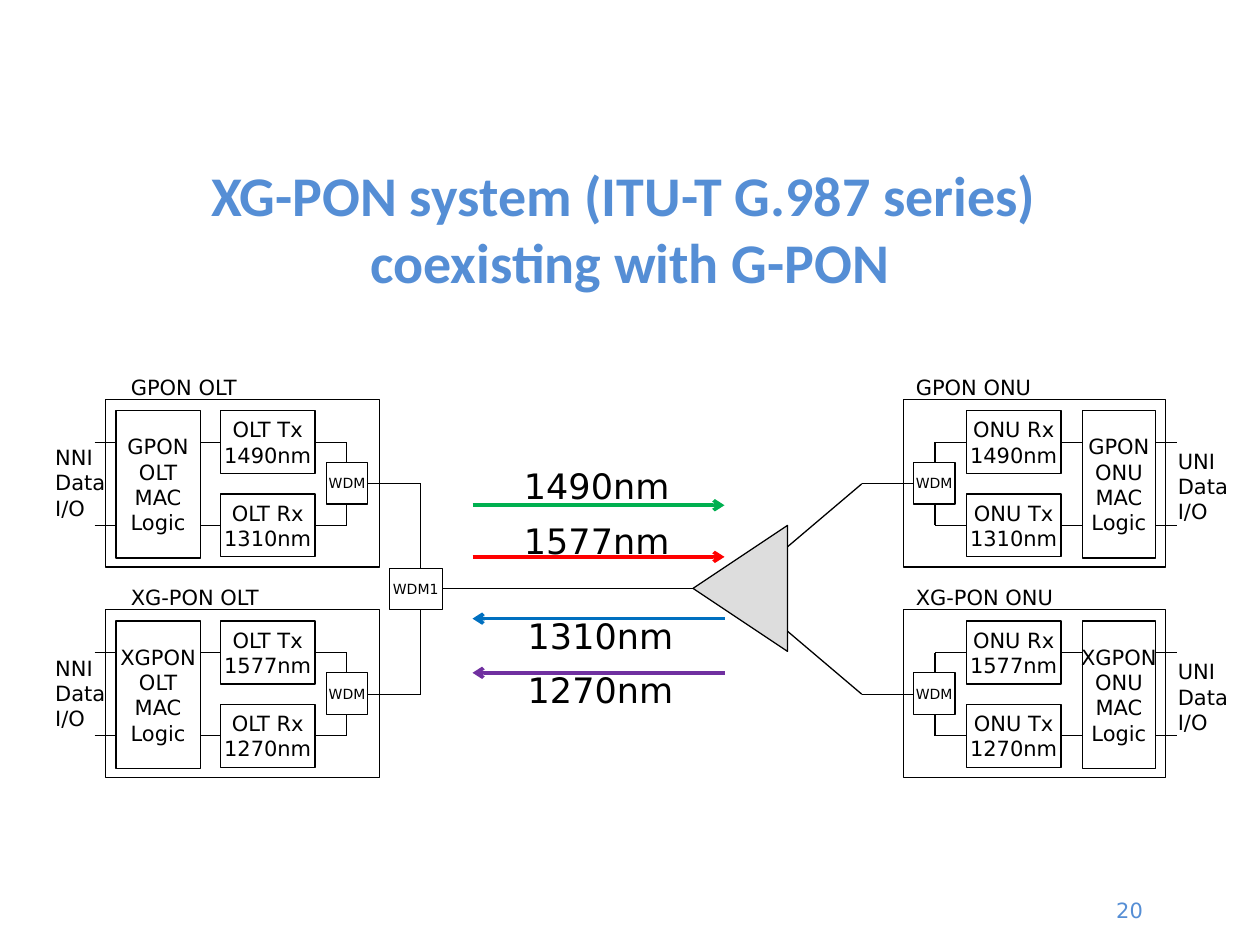
"""Build the slide on XG-PON coexisting with G-PON."""
from lxml.etree import SubElement
from pptx import Presentation
from pptx.dml.color import RGBColor
from pptx.enum.shapes import MSO_CONNECTOR as Link, MSO_SHAPE as Kind
from pptx.enum.text import MSO_ANCHOR as Anchor, PP_ALIGN as Align
from pptx.oxml.ns import qn
from pptx.util import Inches, Pt

BLACK = RGBColor(0x00, 0x00, 0x00)
WHITE = RGBColor(0xFF, 0xFF, 0xFF)
GRAY = RGBColor(0xDD, 0xDD, 0xDD)
TITLE = RGBColor(0x55, 0x8E, 0xD5)
GREEN = RGBColor(0x00, 0xB0, 0x50)
RED = RGBColor(0xFF, 0x00, 0x00)
BLUE = RGBColor(0x00, 0x70, 0xC0)
PURPLE = RGBColor(0x70, 0x30, 0xA0)
SANS = "DejaVu Sans"

HEAD = "XG-PON system (ITU-T G.987 series) \ncoexisting with G-PON"
NETS = [
    ("GPON", "GPON", "1490nm", "1310nm", 3.17),
    ("XG-PON", "XGPON", "1577nm", "1270nm", 4.84),
]
SIDES = [
    dict(unit="OLT", port="NNI", ways=("Tx", "Rx"), frame=(0.84, 2.17), label=0.94,
         wire=(0.75, 2.75), bend=2.75, mac=(0.92, 0.67), wdm=2.59, radio=1.75,
         out=(2.92, 3.34), data=(0.34, 0.31), wide=(1.06, 1.26)),
    dict(unit="ONU", port="UNI", ways=("Rx", "Tx"), frame=(7.17, 2.08), label=7.17,
         wire=(7.42, 9.34), bend=7.42, mac=(8.59, 0.58), wdm=7.25, radio=7.67,
         out=(6.84, 7.25), data=(9.25, 0.34), wide=(1.14, 1.33)),
]
WAVES = [
    ("1490nm", GREEN, 3.75, 5.75, 4.01, 4.06, 3.64),
    ("1577nm", RED, 3.75, 5.75, 4.42, 4.06, 4.07),
    ("1310nm", BLUE, 5.75, 3.75, 4.91, 4.09, 4.83),
    ("1270nm", PURPLE, 5.75, 3.75, 5.34, 4.09, 5.26),
]

deck = Presentation()
deck.slide_width, deck.slide_height = Inches(10), Inches(7.5)
shapes = deck.slides.add_slide(deck.slide_layouts[6]).shapes


def write(shape, lines, size, color=BLACK, font=SANS, bold=False,
          align=Align.CENTER, anchor=Anchor.MIDDLE, wrap=False):
    frame = shape.text_frame
    frame.word_wrap = wrap
    frame.vertical_anchor = anchor
    for i, line in enumerate(lines):
        para = frame.add_paragraph() if i else frame.paragraphs[0]
        para.text = line
        para.alignment = align
        for run in para.runs:
            run.font.size = Pt(size)
            run.font.name = font
            run.font.bold = bold
            run.font.color.rgb = color


def text(x, y, w, h, lines, size, **style):
    write(shapes.add_textbox(*map(Inches, (x, y, w, h))), lines, size, **style)


def note(x, y, w, h, lines, size=12):
    text(x, y, w, h, lines, size, align=Align.LEFT, anchor=Anchor.TOP)


def paint(shape, fill):
    shape.shadow.inherit = False
    shape.line.color.rgb = BLACK
    shape.line.width = Pt(0.75)
    if fill is None:
        shape.fill.background()
    else:
        shape.fill.solid()
        shape.fill.fore_color.rgb = fill


def box(x, y, w, h, lines=(), size=12, fill=WHITE):
    shape = shapes.add_shape(Kind.RECTANGLE, *map(Inches, (x, y, w, h)))
    paint(shape, fill)
    write(shape, lines, size)


def wire(x1, y1, x2, y2, color=BLACK, width=0.75, arrow=False):
    line = shapes.add_connector(Link.STRAIGHT, *map(Inches, (x1, y1, x2, y2)))
    line.line.color.rgb = color
    line.line.width = Pt(width)
    if arrow:
        SubElement(line.get_or_add_ln(), qn("a:tailEnd"), type="arrow")
    SubElement(line._element.spPr, qn("a:effectLst"))


def block(side, net, row):
    name, logic, down, up, top = net
    unit = side["unit"]
    high, mid, low = top + 0.34, top + 0.67, top + 1
    for y in (high, low):
        wire(side["wire"][0], y, side["wire"][1], y)
    wire(side["bend"], high, side["bend"], low)
    wire(side["out"][0], mid, side["out"][1], mid)
    left, width = side["mac"]
    box(left, top + 0.09, width, 1.17, [logic, unit, "MAC", "Logic"])
    box(side["wdm"], top + 0.5, 0.33, 0.33, ["WDM"], 8)
    for way, wave, y in zip(side["ways"], (down, up), (high, low)):
        box(side["radio"], y - 0.25, 0.75, 0.5, [f"{unit} {way}", wave])
    left, drop = side["data"]
    note(left, top + drop, 0.6, 0.71, [side["port"], "Data", "I/O"])
    left, width = side["frame"]
    box(left, top, width, 1.33, fill=None)
    note(side["label"], top - 0.25, side["wide"][row], 0.3, [f"{name} {unit}"])


text(8.46, 7.06, 1.01, 0.33, ["20"], 12, color=TITLE, wrap=True)
text(0, 1.18, 10, 1.25, [HEAD], 32, color=TITLE, font="Calibri", bold=True, wrap=True)

wire(3.34, 5.51, 3.34, 3.84)
wire(3.34, 4.67, 5.5, 4.67)
wire(6.25, 4.34, 6.84, 3.84)
wire(6.25, 5.01, 6.84, 5.51)
pen = shapes.build_freeform(Inches(6.25), Inches(4.17))
pen.add_line_segments([(Inches(6.25), Inches(5.17)), (Inches(5.5), Inches(4.67))])
paint(pen.convert_to_shape(), GRAY)

for side in SIDES:
    for row, net in enumerate(NETS):
        block(side, net, row)

box(3.09, 4.51, 0.42, 0.33, ["WDM1"], 8)
wire(3.92, 4.67, 5.5, 4.67)
for wave, color, start, end, y, left, top in WAVES:
    wire(start, y, end, y, color, 2, True)
    note(left, top, 1.37, 0.44, [wave], 20)

deck.save("out.pptx")
